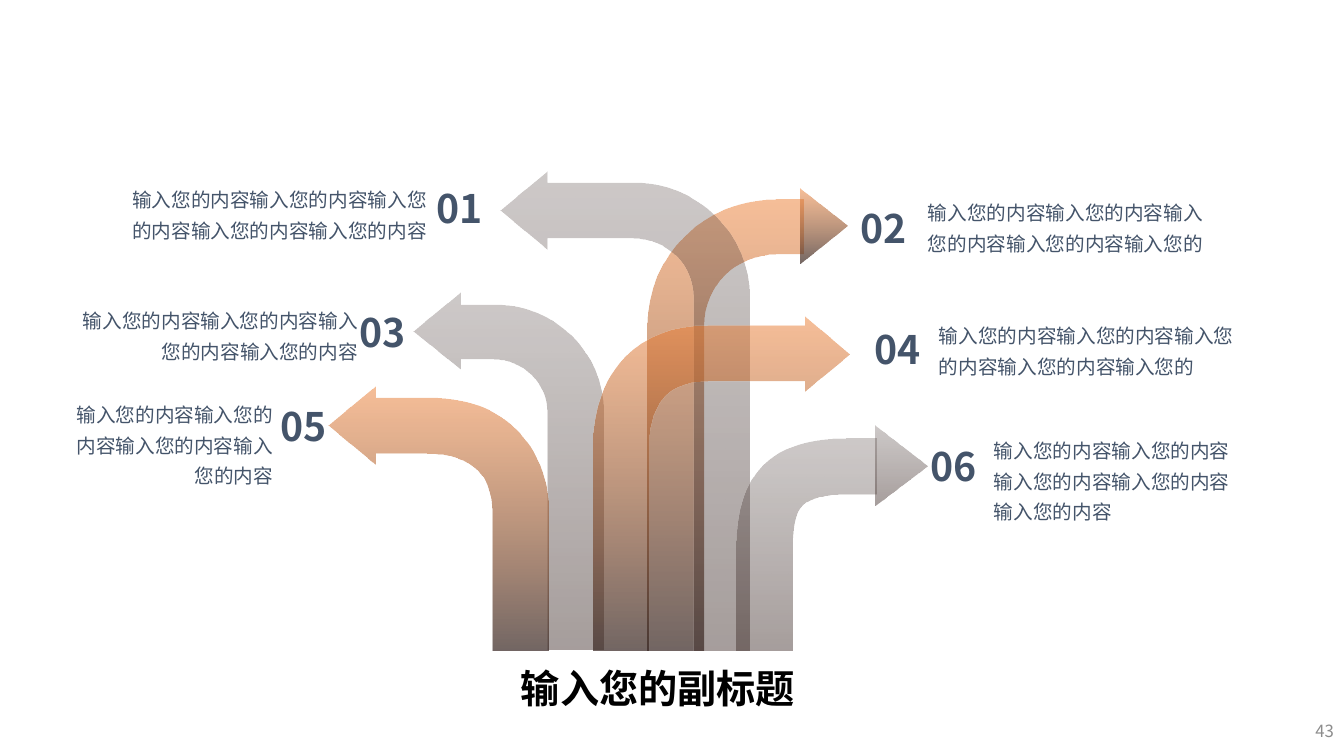
from lxml.etree import SubElement
from pptx import Presentation
from pptx.dml.color import RGBColor
from pptx.enum.text import MSO_ANCHOR, PP_ALIGN
from pptx.oxml.ns import qn
from pptx.util import Pt

SCALE = 914400 / 100.8
FONT = "Noto Sans CJK SC"
COLORS = {"navy": "44546A", "black": "000000", "grey": "8C8C8C",
          "orange": "ED7D31", "taupe": "4C3C39", "brown": "392723"}
GRADIENTS = {"warm": (("orange", 50), ("brown", 71)),
             "cool": (("taupe", 28), ("brown", 45))}
TEXT_STYLES = {
    "number": {"color": "navy", "margins": (20, 10),
               "frame": {"word_wrap": False},
               "paragraph": {"alignment": PP_ALIGN.CENTER},
               "font": {"size": Pt(28), "bold": True}},
    "left": {"color": "navy", "margins": (10, 5),
             "frame": {"word_wrap": True},
             "paragraph": {"alignment": PP_ALIGN.RIGHT, "line_spacing": 1.3},
             "font": {"size": Pt(14)}},
    "right": {"color": "navy", "margins": (10, 5),
              "frame": {"word_wrap": True},
              "paragraph": {"alignment": PP_ALIGN.LEFT, "line_spacing": 1.3},
              "font": {"size": Pt(14)}},
    "subtitle": {"color": "black", "margins": (0, 0),
                 "frame": {"word_wrap": False, "vertical_anchor": MSO_ANCHOR.MIDDLE},
                 "paragraph": {"alignment": PP_ALIGN.LEFT},
                 "font": {"size": Pt(28), "bold": True}},
    "page": {"color": "grey", "margins": (10, 5),
             "frame": {"word_wrap": True, "vertical_anchor": MSO_ANCHOR.MIDDLE},
             "paragraph": {"alignment": PP_ALIGN.RIGHT},
             "font": {"size": Pt(12)}},
}


def px(length):
    return round(length * SCALE)


def apply(target, values):
    for name, value in values.items():
        setattr(target, name, value)


def bend(shape, segments):
    steps = shape._element.findall(".//" + qn("a:lnTo"))
    for segment in segments:
        first, *others = [steps.pop(0) for _ in range(len(segment) // 2)]
        if others:
            first.tag = qn("a:cubicBezTo")
            for other in others:
                first.append(other[0])
                other.getparent().remove(other)


class Painter:
    def __init__(self, slide):
        self.slide = slide

    def outline(self, gradient, segments):
        start, *rest = segments
        points = [(px(s[i]), px(s[i + 1])) for s in rest for i in range(0, len(s), 2)]
        builder = self.slide.shapes.build_freeform(*map(px, start), scale=1.0)
        builder.add_line_segments(points, close=True)
        shape = builder.convert_to_shape()
        bend(shape, rest)
        shape.shadow.inherit = False
        shape.line.fill.background()
        shape.fill.gradient()
        shape.fill.gradient_angle = 270
        for stop, (color, _) in zip(shape.fill.gradient_stops, GRADIENTS[gradient]):
            stop.color.rgb = RGBColor.from_string(COLORS[color])
        tints = shape._element.findall(".//" + qn("a:gs") + "/" + qn("a:srgbClr"))
        for tint, (_, opacity) in zip(tints, GRADIENTS[gradient]):
            SubElement(tint, qn("a:alpha")).set("val", str(opacity * 1000))

    def text(self, style, words, box):
        style = TEXT_STYLES[style]
        frame = self.slide.shapes.add_textbox(*map(px, box)).text_frame
        side, end = map(px, style["margins"])
        apply(frame, {"margin_left": side, "margin_right": side,
                      "margin_top": end, "margin_bottom": end, **style["frame"]})
        paragraph = frame.paragraphs[0]
        apply(paragraph, style["paragraph"])
        run = paragraph.add_run()
        run.text = words
        apply(run.font, {"name": FONT, **style["font"]})
        run.font.color.rgb = RGBColor.from_string(COLORS[style["color"]])
        SubElement(run.font._element, qn("a:ea")).set("typeface", FONT)


deck = Presentation()
apply(deck, {"slide_width": px(1344), "slide_height": px(756)})
painter = Painter(deck.slides.add_slide(deck.slide_layouts[6]))

BASE = 650
ARROWS = [
    ("warm", [(704, BASE), (648, BASE), (648, 326), (648, 256, 704, 200, 775, 200),
              (803, 200), (803, 255), (775, 255), (736, 255, 704, 286, 704, 326),
              (704, BASE)]),
    ("warm", [(847, 226), (801, 264), (801, 189), (847, 226)]),
    ("cool", [(494, 305), (461, 305), (461, 293), (414, 332), (461, 370), (461, 360),
              (494, 360), (523, 360, 547, 384, 547, 413), (547, BASE), (603, BASE),
              (603, 413), (603, 353, 554, 305, 494, 305)]),
    ("cool", [(634, 183), (548, 183), (548, 172), (501, 211), (548, 250), (548, 239),
              (634, 239), (667, 239, 694, 265, 694, 298), (694, BASE), (750, BASE),
              (750, 298), (750, 235, 698, 183, 634, 183)]),
    ("cool", [(793, BASE), (737, BASE), (737, 547), (737, 474, 772, 439, 846, 439),
              (877, 439), (877, 495), (846, 495), (803, 495, 793, 505, 793, 547),
              (793, BASE)]),
    ("cool", [(927, 466), (876, 505), (876, 426), (927, 466)]),
    ("warm", [(849, 355), (804, 317), (804, 326), (707, 326),
              (672, 326, 645, 337, 625, 357), (594, 389, 593, 432, 593, 438),
              (593, BASE), (649, BASE), (649, 438), (649, 437),
              (649, 437, 649, 412, 665, 396), (674, 387, 687, 382, 707, 382),
              (804, 382), (804, 392), (849, 355)]),
    ("warm", [(519, 433), (498, 410, 467, 398, 427, 398), (376, 398), (376, 387),
              (329, 426), (376, 465), (376, 454), (427, 454),
              (451, 454, 467, 460, 478, 471), (494, 488, 492, 515, 492, 515),
              (492, 517), (492, BASE), (548, BASE), (548, 519),
              (549, 509, 550, 467, 519, 433)]),
]
for gradient, segments in ARROWS:
    painter.outline(gradient, segments)

PHRASE = "输入您的内容"
ITEMS = [
    ("01", (415, 174), "left", 30, (110, 176, 327, 69)),
    ("02", (839, 194), "right", 28, (918, 189, 312, 69)),
    ("03", (338, 298), "left", 24, (65, 297, 303, 69)),
    ("04", (853, 315), "right", 28, (929, 312, 320, 69)),
    ("05", (259, 392), "left", 24, (65, 391, 218, 103)),
    ("06", (909, 432), "right", 30, (984, 427, 265, 103)),
]
for number, corner, side, length, body in ITEMS:
    painter.text("number", number, (*corner, 90, 68))
    painter.text(side, (PHRASE * 5)[:length], body)

painter.text("subtitle", "输入您的副标题", (521, 664, 277, 48))
painter.text("page", "43", (1290, 711, 54, 40))

deck.save("out.pptx")
